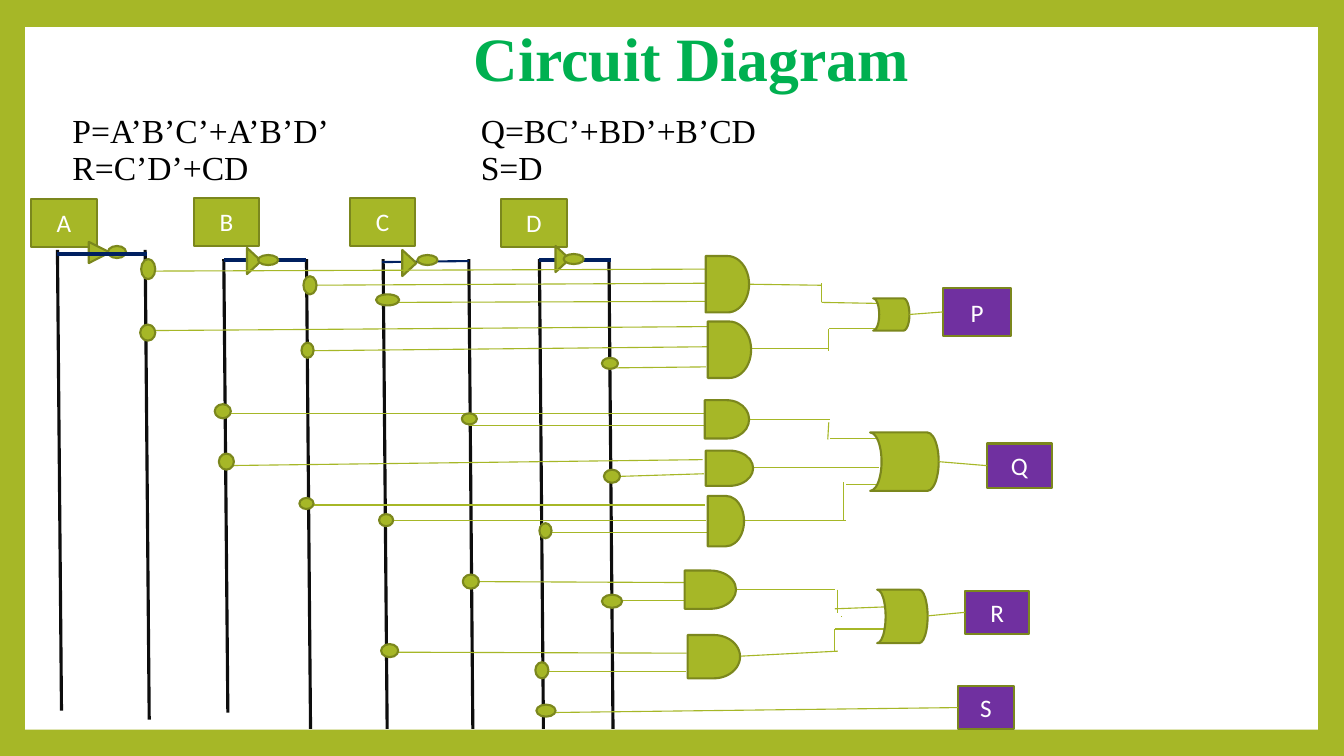
from pptx import Presentation
from pptx.dml.color import RGBColor
from pptx.enum.shapes import MSO_CONNECTOR, MSO_SHAPE
from pptx.enum.text import MSO_ANCHOR, PP_ALIGN
from pptx.oxml.ns import qn
from pptx.util import Inches, Pt
from lxml import etree

LIME = RGBColor(0xA6, 0xB7, 0x27)
OLIVE = RGBColor(0x7B, 0x87, 0x1D)
WHITE = RGBColor(0xFF, 0xFF, 0xFF)
BLACK = RGBColor(0, 0, 0)
INK = RGBColor(0x0D, 0x0D, 0x0D)
NAVY = RGBColor(0x00, 0x20, 0x60)
GREEN = RGBColor(0x00, 0xB0, 0x50)
PURPLE = RGBColor(0x70, 0x30, 0xA0)
RECT = MSO_SHAPE.RECTANGLE
OVAL = MSO_SHAPE.OVAL
AND = MSO_SHAPE.FLOWCHART_DELAY
OR = MSO_SHAPE.FLOWCHART_STORED_DATA
NODE = MSO_SHAPE.FLOWCHART_CONNECTOR
EXTRACT = MSO_SHAPE.FLOWCHART_EXTRACT
WEDGE = MSO_SHAPE.ISOSCELES_TRIANGLE
STRAIGHT = MSO_CONNECTOR.STRAIGHT
CENTER = PP_ALIGN.CENTER
MIDDLE = MSO_ANCHOR.MIDDLE
SERIF = "Times New Roman"

deck = Presentation()
deck.slide_width, deck.slide_height = Inches(13.33), Inches(7.5)
slide = deck.slides.add_slide(deck.slide_layouts[6])
slide.background.fill.solid()
slide.background.fill.fore_color.rgb = LIME


def add_part(kind, box, fill=LIME, label="", turn=0):
    part = slide.shapes.add_shape(kind, *map(Inches, box))
    part.shadow.inherit = False
    part.rotation = turn
    part.fill.solid()
    part.fill.fore_color.rgb = fill
    part.line.color.rgb = OLIVE
    part.line.width = Pt(1.5)
    if label:
        part.text_frame.vertical_anchor = MIDDLE
        para = part.text_frame.paragraphs[0]
        para.alignment = CENTER
        run = para.add_run()
        run.text = label
        run.font.name, run.font.size = "Calibri", Pt(18)
        run.font.color.rgb = WHITE
    return part


def add_wire(ends, color=LIME, width=0.79):
    wire = slide.shapes.add_connector(STRAIGHT, *map(Inches, ends))
    wire.line.color.rgb = color
    wire.line.width = Pt(width)
    etree.SubElement(wire._element.spPr, qn("a:effectLst"))
    return wire


panel = add_part(RECT, (0.25, 0.27, 12.82, 6.97), WHITE)
panel.line.fill.background()

title = slide.shapes.add_textbox(Inches(1.45), Inches(0.13), Inches(10.82), Inches(0.96))
title.text_frame.word_wrap = True
title.text_frame.vertical_anchor = MIDDLE
para = title.text_frame.paragraphs[0]
para.alignment, para.line_spacing = CENTER, 0.9
run = para.add_run()
run.text = "Circuit Diagram"
run.font.name, run.font.size, run.font.bold = SERIF, Pt(44), True
run.font.color.rgb = GREEN

sums = slide.shapes.add_textbox(Inches(0.57), Inches(1.09), Inches(11.48), Inches(0.85))
sums.text_frame.word_wrap = True
rows = ["P=A’B’C’+A’B’D’\tQ=BC’+BD’+B’CD", "R=C’D’+CD\tS=D"]
for i, row in enumerate(rows):
    para = sums.text_frame.paragraphs[0] if i == 0 else sums.text_frame.add_paragraph()
    para.line_spacing = 0.9
    props = para._p.get_or_add_pPr()
    props.set("marL", str(Inches(0.05)))
    tabs = etree.SubElement(props, qn("a:tabLst"))
    etree.SubElement(tabs, qn("a:tab"), pos=str(Inches(4.05)), algn="l")
    run = para.add_run()
    run.text = row
    run.font.name, run.font.size = SERIF, Pt(24)
    run.font.color.rgb = BLACK

rails = [
    (0.57, 2.48, 7.05), (1.44, 2.48, 7.14), (2.22, 2.57, 7.07), (3.04, 2.57, 7.23),
    (3.8, 2.57, 7.23), (4.65, 2.57, 7.23), (5.35, 2.57, 7.23), (6.04, 2.57, 7.23),
]
for x, top, base in rails:
    add_wire((x, top, x + 0.04, base), INK, 2.25)

for name, x, y in [("A", 0.31, 1.97), ("B", 1.92, 1.96), ("C", 3.47, 1.96), ("D", 4.97, 1.97)]:
    add_part(RECT, (x, y, 0.65, 0.48), LIME, name)

add_part(EXTRACT, (0.88, 2.4, 0.21, 0.21), turn=90)
add_part(NODE, (1.07, 2.44, 0.18, 0.12))
bars = [
    (0.57, 2.52, 1.46, 2.52, 2.25), (2.22, 2.58, 3.04, 2.58, 2.25),
    (3.79, 2.6, 4.65, 2.59, 1.5), (5.35, 2.58, 6.06, 2.58, 2.25),
]
for *ends, width in bars:
    add_wire(ends, NAVY, width)
for x, y, dot_x, dot_y in [(2.39, 2.52, 2.56, 2.53), (3.93, 2.54, 4.14, 2.53), (5.45, 2.5, 5.59, 2.52)]:
    add_part(WEDGE, (x, y, 0.26, 0.14), turn=90)
    add_part(NODE, (dot_x, dot_y, 0.2, 0.1))

inputs = [
    (1.42, 2.69, 7.02, 2.67), (3.01, 2.83, 7.02, 2.81), (3.84, 3, 7.05, 2.99),
    (1.44, 3.28, 7.04, 3.24), (3.04, 3.48, 7.04, 3.44), (6.03, 3.65, 7, 3.64),
    (2.16, 4.1, 7.19, 4.1), (4.65, 4.22, 6.98, 4.22), (2.19, 4.62, 6.97, 4.56),
    (6.02, 4.73, 6.98, 4.7), (3.07, 5.01, 6.99, 5.01), (3.84, 5.16, 7, 5.16),
    (5.38, 5.28, 7.02, 5.28), (4.66, 5.77, 6.97, 5.78), (6.08, 5.96, 6.88, 5.96),
    (3.8, 6.47, 6.81, 6.48), (5.32, 6.66, 6.8, 6.66),
]
links = [
    (7.42, 2.82, 8.15, 2.83), (8.15, 2.81, 8.15, 3), (8.15, 3, 8.7, 3.01),
    (7.45, 3.46, 8.22, 3.46), (8.22, 3.48, 8.22, 3.26), (8.22, 3.26, 8.7, 3.26),
    (7.43, 4.16, 8.23, 4.16), (8.22, 4.19, 8.21, 4.36), (8.23, 4.35, 8.72, 4.35),
    (7.47, 4.64, 8.72, 4.64), (7.37, 5.16, 8.39, 5.16), (8.37, 5.16, 8.37, 4.78),
    (8.39, 4.81, 8.74, 4.81), (7.3, 5.85, 8.28, 5.85), (8.31, 5.85, 8.31, 6.08),
    (8.35, 6.12, 8.35, 6.11), (8.28, 6.04, 8.81, 6.02), (7.34, 6.51, 8.31, 6.46),
    (8.28, 6.46, 8.28, 6.24), (8.28, 6.24, 8.83, 6.24),
]
for ends in inputs + links:
    add_wire(ends)

ands = [
    (7, 2.54, 0.43, 0.56), (7.02, 3.19, 0.43, 0.56), (6.99, 3.97, 0.44, 0.38),
    (7, 4.47, 0.47, 0.35), (7.02, 4.92, 0.36, 0.5), (6.79, 5.66, 0.51, 0.38),
    (6.82, 6.3, 0.52, 0.43),
]
for box in ands:
    add_part(AND, box)
for box in [(8.66, 2.96, 0.36, 0.32), (8.63, 4.29, 0.68, 0.58), (8.7, 5.85, 0.5, 0.53)]:
    add_part(OR, box, turn=180)

outputs = [
    ("P", (9.35, 2.86, 0.68, 0.47), 9.02, 3.12), ("Q", (9.79, 4.4, 0.64, 0.44), 9.31, 4.58),
    ("R", (9.57, 5.86, 0.64, 0.43), 9.2, 6.11), ("S", (9.5, 6.81, 0.56, 0.42), 5.4, 7.07),
]
for name, box, x, y in outputs:
    goal = add_part(RECT, box, PURPLE, name)
    add_wire((x, y, box[0], y)).end_connect(goal, 1)

dots = [
    (1.39, 3.22, 0.15, 0.16), (1.4, 2.57, 0.14, 0.2), (3.01, 2.74, 0.13, 0.18),
    (3.73, 2.92, 0.23, 0.11), (2.99, 3.4, 0.12, 0.15), (5.97, 3.55, 0.16, 0.11),
    (2.13, 4.01, 0.16, 0.14), (4.58, 4.1, 0.15, 0.11), (2.97, 4.94, 0.14, 0.11),
    (4.59, 5.7, 0.16, 0.14), (3.76, 5.1, 0.14, 0.12), (5.32, 6.99, 0.19, 0.12),
    (5.31, 6.57, 0.13, 0.16), (3.78, 6.39, 0.17, 0.13), (5.97, 5.9, 0.2, 0.13),
    (5.35, 5.19, 0.12, 0.15), (2.17, 4.5, 0.15, 0.16), (5.99, 4.66, 0.16, 0.13),
]
for box in dots:
    add_part(OVAL, box)

deck.save("out.pptx")
